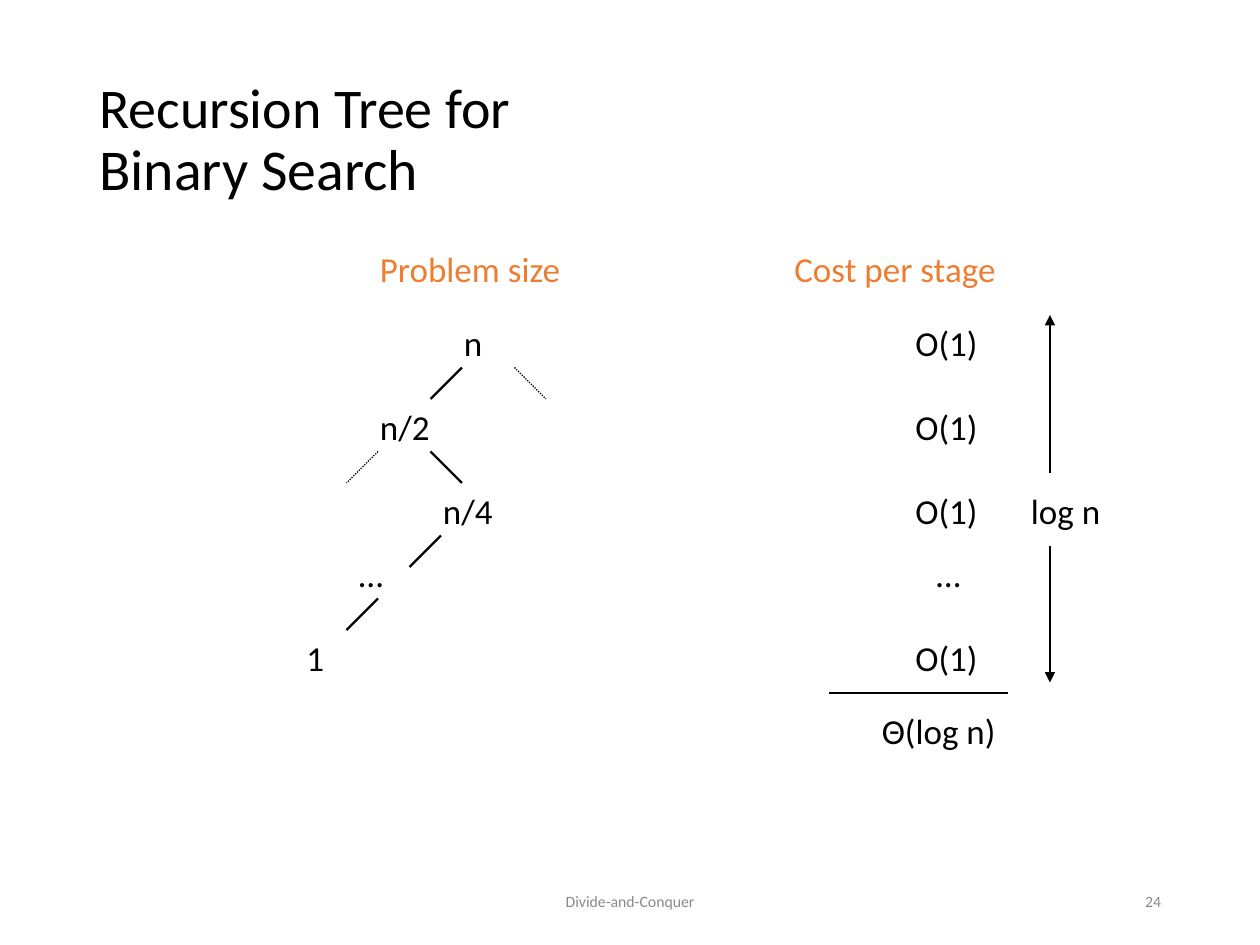
from lxml import etree
from pptx import Presentation
from pptx.dml.color import RGBColor
from pptx.enum.dml import MSO_LINE
from pptx.enum.shapes import MSO_CONNECTOR
from pptx.enum.text import MSO_ANCHOR, MSO_AUTO_SIZE, PP_ALIGN
from pptx.oxml.ns import qn
from pptx.util import Pt

LEFT, CENTER, RIGHT = PP_ALIGN.LEFT, PP_ALIGN.CENTER, PP_ALIGN.RIGHT
TOP, MIDDLE = MSO_ANCHOR.TOP, MSO_ANCHOR.MIDDLE
STRAIGHT = MSO_CONNECTOR.STRAIGHT
DOTTED = MSO_LINE.ROUND_DOT
FONT = "Calibri"
BLACK, ORANGE, GRAY = "000000", "ED7D31", "898989"

prs = Presentation()
prs.slide_width, prs.slide_height = Pt(720), Pt(540)
s = prs.slides.add_slide(prs.slide_layouts[5])


def add_text(text, x, y, w, h, color=BLACK, size=20, align=LEFT, anchor=TOP):
    tf = s.shapes.add_textbox(Pt(x), Pt(y), Pt(w), Pt(h)).text_frame
    tf.word_wrap = True
    tf.vertical_anchor = anchor
    p = tf.paragraphs[0]
    p.text = text
    p.alignment = align
    p.font.name, p.font.size = FONT, Pt(size)
    p.font.color.rgb = RGBColor.from_string(color)


def add_line(x1, y1, x2, y2, width, dash=None, arrow=False):
    c = s.shapes.add_connector(STRAIGHT, Pt(x1), Pt(y1), Pt(x2), Pt(y2))
    c.line.color.rgb = RGBColor.from_string(BLACK)
    c.line.width = Pt(width)
    if dash:
        c.line.dash_style = dash
    if arrow:
        etree.SubElement(c.line._get_or_add_ln(), qn("a:tailEnd"), type="triangle")
    etree.SubElement(c._element.spPr, qn("a:effectLst"))


# Title
title = s.shapes.title
title.left, title.top, title.width, title.height = Pt(49.5), Pt(28.75), Pt(621), Pt(104.4)
tf = title.text_frame
tf.auto_size = MSO_AUTO_SIZE.NONE
tf.vertical_anchor = MIDDLE
p = tf.paragraphs[0]
p.alignment, p.line_spacing = LEFT, 0.9
p.font.name = FONT
p.font.color.rgb = RGBColor.from_string(BLACK)
for i, (text, size) in enumerate([("Recursion Tree for ", 32), ("Binary Search", 33)]):
    if i:
        p.add_line_break()
    r = p.add_run()
    r.text = text
    r.font.size = Pt(size)

# Column headings
add_text("Problem size", 210, 138, 138, 30, ORANGE)
add_text("Cost per stage", 432, 138, 144, 30, ORANGE, align=RIGHT)

# One row per stage: problem size and its cost
stages = [
    (180, "n", 258, "O(1)", 516),
    (228, "n/2", 210, "O(1)", 516),
    (276, "n/4", 246, "O(1)", 516),
    (312, "…", 198, "…", 528),
    (360, "1", 168, "O(1)", 516),
]
for y, problem, problem_x, cost, cost_x in stages:
    add_text(problem, problem_x, y, 48, 48)
    add_text(cost, cost_x, y, 576 - cost_x, 48)

# Branches drop 18 pt; the dotted ones are the halves not searched
branches = [
    (264, 210, -18, True),
    (294, 210, 18, False),
    (246, 258, 18, True),
    (216, 258, -18, False),
    (252, 306, -18, True),
    (216, 342, -18, True),
]
for x, y, dx, searched in branches:
    add_line(x, y, x + dx, y + 18, 1.25 if searched else 0.75,
             None if searched else DOTTED)

# Tree height and total cost
add_line(600, 270, 600, 180, 1.5, arrow=True)
add_text("log n", 582, 276, 66, 36)
add_line(600, 312, 600, 390, 1.5, arrow=True)
add_line(474, 396, 576, 396, 1.5)
add_text("Θ(log n)", 444, 402, 132, 31.5, align=RIGHT)

# Footer
add_text("Divide-and-Conquer", 238.5, 500.5, 243, 28.75, GRAY, 9, CENTER, MIDDLE)
add_text("24", 508.5, 500.5, 162, 28.75, GRAY, 9, RIGHT, MIDDLE)

prs.save("out.pptx")
